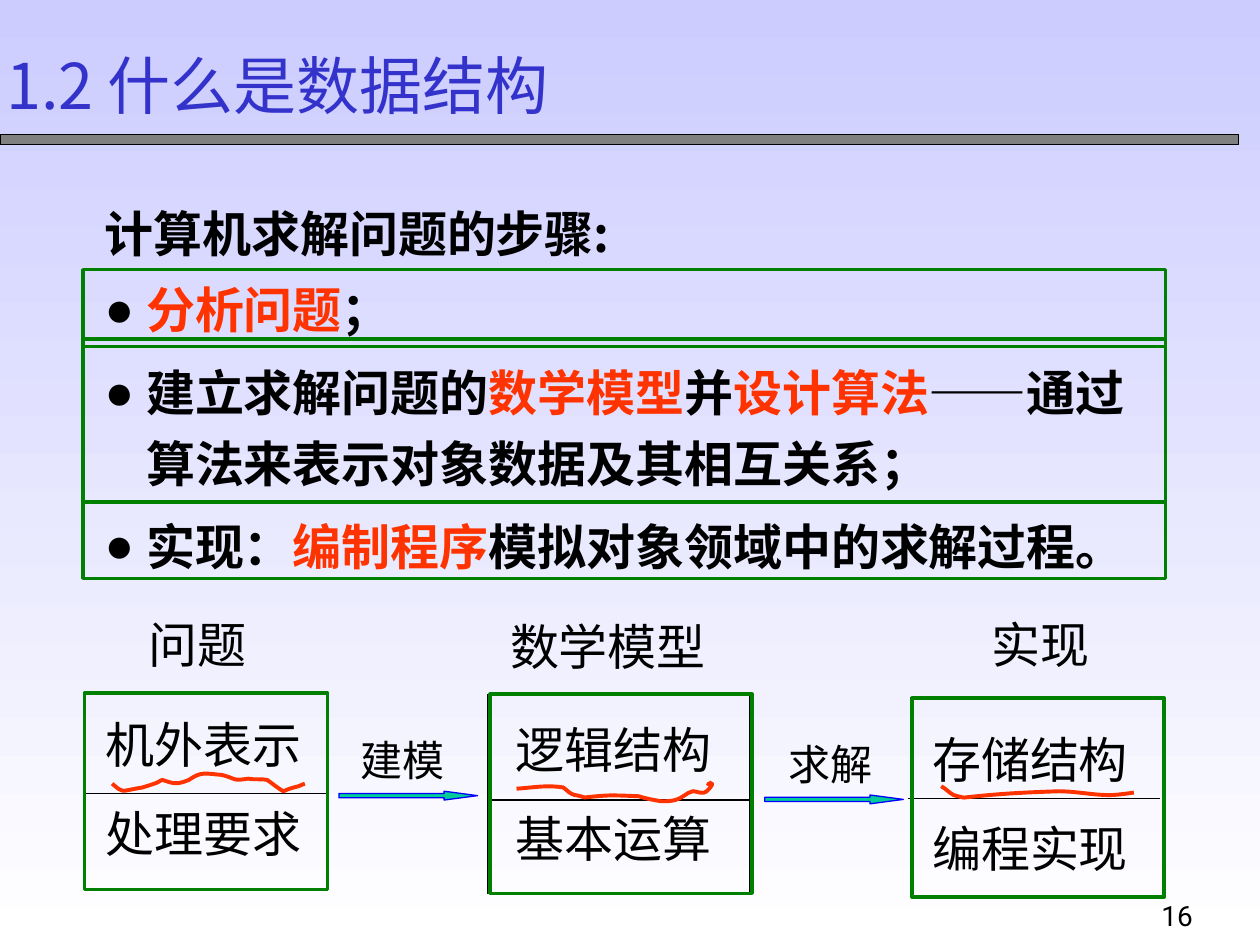
from dataclasses import dataclass

from lxml import etree
from pptx import Presentation
from pptx.dml.color import RGBColor
from pptx.enum.shapes import MSO_CONNECTOR, MSO_SHAPE
from pptx.enum.text import MSO_ANCHOR, MSO_AUTO_SIZE, PP_ALIGN
from pptx.oxml.ns import qn
from pptx.util import Inches, Pt

RECTANGLE, ARROW = MSO_SHAPE.RECTANGLE, MSO_SHAPE.RIGHT_ARROW
STRAIGHT = MSO_CONNECTOR.STRAIGHT
TOP, NO_FIT = MSO_ANCHOR.TOP, MSO_AUTO_SIZE.NONE
LEFT, CENTER = PP_ALIGN.LEFT, PP_ALIGN.CENTER


@dataclass(frozen=True)
class Theme:
    black: str = "000000"
    title: str = "3333CC"
    accent: str = "FF3300"
    frame: str = "008000"
    bar: str = "808080"
    arrow: str = "00CC99"
    arrow_line: str = "0000FF"
    sky: str = "CCCCFF"
    white: str = "FFFFFF"
    heading_font: str = "Noto Sans CJK SC"
    label_font: str = "Times New Roman"
    dash_font: str = "Arial"
    number_font: str = "Roboto"
    title_size: int = 36
    text_size: int = 28
    step_size: int = 24
    number_size: int = 16
    thin: float = 0.75
    medium: float = 2
    thick: float = 2.25


THEME = Theme()

# Each step is a list of (text, style) runs
STEPS = [
    [("分析问题", "accent"), ("；", "")],
    [("建立求解问题的", ""), ("数学模型", "accent"), ("并", ""),
     ("设计算法", "accent"), ("——", "dash"),
     ("通过算法来表示对象数据及其相互关系；", "")],
    [("实现：", ""), ("编制程序", "accent"), ("模拟对象领域中的求解过程。", "")],
]

# Green frames around the three steps
STEP_FRAMES = [(0.66, 2.14, 8.59, 0.61), (0.66, 2.69, 8.59, 1.3),
               (0.66, 3.98, 8.59, 0.61)]

# Stages: heading and its box, two lines and their box, outline, frame, divider
STAGES = [
    ("问题", (1.08, 4.83, 1.08, 0.57),
     ("机外表示", "处理要求"), (0.74, 5.62, 1.85, 1.28), LEFT,
     (0.68, 5.5, 1.92, 1.57), (0.67, 5.5, 1.93, 1.56), (0.68, 2.59, 6.3)),
    ("数学模型", (3.95, 4.84, 1.83, 0.57),
     ("逻辑结构", "基本运算"), (3.87, 5.66, 2, 1.28), CENTER,
     (3.87, 5.51, 2.08, 1.58), (3.89, 5.51, 2.08, 1.58), (3.87, 5.95, 6.35)),
    ("实现", (7.77, 4.83, 1, 0.57),
     ("存储结构", "编程实现"), (7.3, 5.74, 1.92, 1.28), LEFT,
     (7.23, 5.54, 2, 1.57), (7.24, 5.54, 2, 1.58), (7.21, 9.21, 6.34)),
]

TRANSITIONS = [
    ("建模", (2.76, 5.78, 0.92, 0.5), (2.69, 6.28, 1.1, 0.07)),
    ("求解", (6.16, 5.81, 0.92, 0.5), (6.07, 6.31, 1.1, 0.07)),
]

# Hand-drawn underlines: a start point, then three Bezier points per segment
UNDERLINES = [
    [(0.89, 6.22), (0.99, 6.3), (0.94, 6.28), (1.13, 6.25),
     (1.13, 6.25), (1.23, 6.22), (1.25, 6.21), (1.26, 6.2), (1.29, 6.19), (1.29, 6.19),
     (1.38, 6.22), (1.4, 6.23), (1.5, 6.19), (1.6, 6.12), (1.63, 6.14), (1.76, 6.15),
     (1.88, 6.18), (1.84, 6.2), (1.97, 6.18), (2.02, 6.19), (2.08, 6.18), (2.12, 6.19),
     (2.14, 6.2), (2.21, 6.26), (2.25, 6.28), (2.29, 6.26), (2.33, 6.25), (2.37, 6.24),
     (2.39, 6.23), (2.42, 6.22), (2.42, 6.22)],
    [(4.1, 6.26), (4.25, 6.25), (4.33, 6.23), (4.47, 6.25),
     (4.5, 6.27), (4.52, 6.3), (4.56, 6.31), (4.58, 6.31), (4.64, 6.33), (4.64, 6.33),
     (4.83, 6.31), (4.83, 6.31), (5.07, 6.32), (5.13, 6.34), (5.19, 6.35), (5.25, 6.36),
     (5.29, 6.36), (5.32, 6.36), (5.36, 6.35), (5.41, 6.34), (5.45, 6.29), (5.5, 6.28),
     (5.53, 6.28), (5.58, 6.31), (5.61, 6.28), (5.73, 6.16), (5.55, 6.26), (5.65, 6.21)],
    [(7.47, 6.24), (7.51, 6.26), (7.53, 6.29), (7.57, 6.31),
     (7.6, 6.32), (7.65, 6.33), (7.65, 6.33), (7.92, 6.3), (8.1, 6.29), (8.4, 6.28),
     (8.54, 6.28), (8.67, 6.31), (8.81, 6.31), (8.87, 6.31), (9, 6.29), (9, 6.29)],
]


def color(value):
    return RGBColor.from_string(value)


def add_run(paragraph, text, size, font, fill=THEME.black, bold=False):
    run = paragraph.add_run()
    run.text = text
    run.font.size, run.font.bold, run.font.name = Pt(size), bold, font
    run.font.color.rgb = color(fill)
    if font != THEME.dash_font:
        etree.SubElement(run.font._element, qn("a:ea"), typeface=THEME.heading_font)


def prepare_frame(shape, box):
    shape.left, shape.top, shape.width, shape.height = map(Inches, box)
    frame = shape.text_frame
    frame.word_wrap, frame.auto_size, frame.vertical_anchor = True, NO_FIT, TOP
    return frame


def add_label(slide, lines, box, size, font=THEME.label_font, align=LEFT):
    frame = prepare_frame(slide.shapes.add_textbox(*map(Inches, box)), box)
    for index, text in enumerate(lines):
        paragraph = frame.add_paragraph() if index else frame.paragraphs[0]
        paragraph.alignment = align
        if index:
            paragraph.space_before = Pt(17.5)
        add_run(paragraph, text, size, font)


def style_outline(shape, line, width):
    shape.shadow.inherit = False
    shape.fill.background()
    shape.line.color.rgb = color(line)
    shape.line.width = Pt(width)


def add_box(slide, box, line, width, fill=None, preset=RECTANGLE):
    shape = slide.shapes.add_shape(preset, *map(Inches, box))
    style_outline(shape, line, width)
    if fill:
        shape.fill.solid()
        shape.fill.fore_color.rgb = color(fill)
    return shape


def add_divider(slide, left, right, y):
    line = slide.shapes.add_connector(
        STRAIGHT, Inches(left), Inches(y), Inches(right), Inches(y))
    line.line.color.rgb = color(THEME.black)
    line.line.width = Pt(THEME.thin)
    etree.SubElement(line._element.spPr, qn("a:effectLst"))


def add_underline(slide, points):
    start, *rest = [(Inches(x), Inches(y)) for x, y in points]
    builder = slide.shapes.build_freeform(*start)
    builder.add_line_segments(rest, close=False)
    shape = builder.convert_to_shape()
    style_outline(shape, THEME.accent, THEME.thick)
    # Join every three straight segments into one Bezier segment
    outline = next(shape._element.iter(qn("a:path")))
    segments = outline.findall(qn("a:lnTo"))
    for first in range(0, len(segments), 3):
        curve = etree.SubElement(outline, qn("a:cubicBezTo"))
        for segment in segments[first:first + 3]:
            curve.append(segment[0])
            outline.remove(segment)


def fill_title(slide):
    paragraph = prepare_frame(slide.shapes.title, (-0.05, 0.32, 5.02, 0.7)).paragraphs[0]
    paragraph.alignment = LEFT
    add_run(paragraph, "1.2 什么是数据结构", THEME.title_size, THEME.heading_font, THEME.title)


def set_bullet(paragraph, character=None):
    properties = paragraph._p.get_or_add_pPr()
    indent = Inches(0.33) if character else 0
    properties.set("marL", str(indent))
    properties.set("indent", str(-indent))
    if not character:
        etree.SubElement(properties, qn("a:buNone"))
        return
    bullet_color = etree.SubElement(properties, qn("a:buClr"))
    etree.SubElement(bullet_color, qn("a:srgbClr"), val=THEME.black)
    etree.SubElement(properties, qn("a:buFont"), typeface=THEME.dash_font)
    etree.SubElement(properties, qn("a:buChar"), char=character)


def fill_steps(slide):
    frame = prepare_frame(slide.placeholders[1], (0.73, 1.4, 8.64, 3.22))
    heading = frame.paragraphs[0]
    set_bullet(heading)
    heading.line_spacing, heading.space_before = 1.35, Pt(0)
    add_run(heading, "计算机求解问题的步骤:", THEME.text_size, THEME.heading_font, bold=True)
    for step in STEPS:
        paragraph = frame.add_paragraph()
        set_bullet(paragraph, "●")
        paragraph.line_spacing = 1.2
        paragraph.space_before = paragraph.space_after = Pt(3.5)
        for text, style in step:
            font = THEME.dash_font if style == "dash" else THEME.heading_font
            fill = THEME.accent if style == "accent" else THEME.black
            add_run(paragraph, text, THEME.text_size, font, fill, True)


def main():
    presentation = Presentation()
    presentation.slide_width, presentation.slide_height = Inches(10), Inches(7.5)
    slide = presentation.slides.add_slide(presentation.slide_layouts[1])

    # Background and title
    background = slide.background.fill
    background.gradient()
    background.gradient_angle = 270
    for stop, value in zip(background.gradient_stops, (THEME.sky, THEME.white)):
        stop.color.rgb = color(value)
    fill_title(slide)
    add_box(slide, (0, 1.07, 9.83, 0.08), THEME.black, THEME.thin, THEME.bar)

    # Steps in green frames
    fill_steps(slide)
    for box in STEP_FRAMES:
        add_box(slide, box, THEME.frame, THEME.medium)

    # Three stages
    for heading, heading_box, lines, text_box, align, outline, frame, divider in STAGES:
        add_label(slide, [heading], heading_box, THEME.text_size)
        add_label(slide, lines, text_box, THEME.text_size, align=align)
        add_box(slide, outline, THEME.black, THEME.thin)
        add_divider(slide, *divider)
        add_box(slide, frame, THEME.frame, THEME.medium)

    # Arrows between stages
    for text, text_box, arrow_box in TRANSITIONS:
        add_label(slide, [text], text_box, THEME.step_size)
        arrow = add_box(slide, arrow_box, THEME.arrow_line, THEME.thin, THEME.arrow, ARROW)
        arrow.adjustments[1] = 3.78

    # Red underlines and slide number
    for points in UNDERLINES:
        add_underline(slide, points)
    add_label(slide, ["16"], (9.12, 7.08, 0.8, 0.42), THEME.number_size, THEME.number_font)
    presentation.save("out.pptx")


if __name__ == "__main__":
    main()
